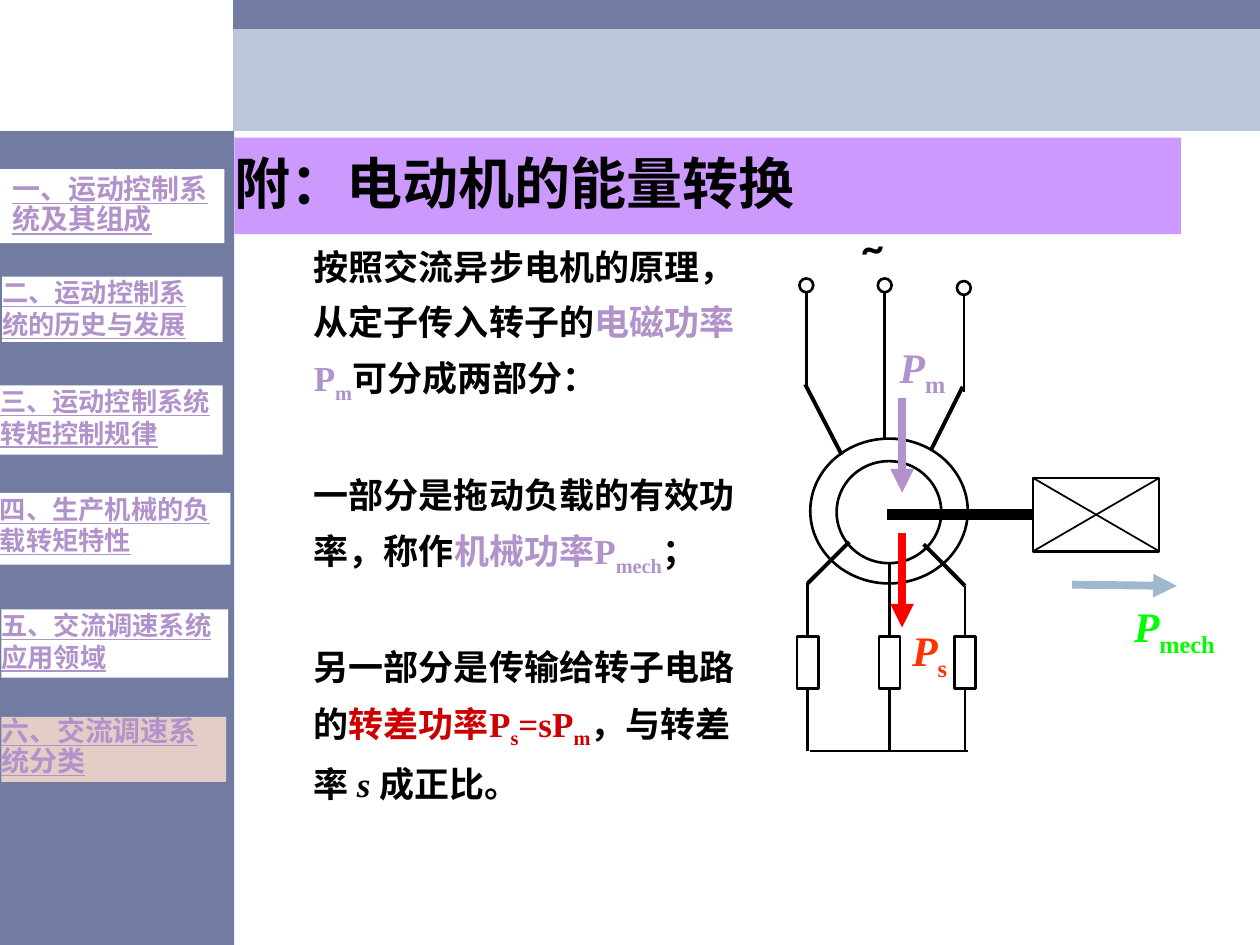
import pptx
import pptx.util
import pptx.dml.color
import pptx.enum.shapes
import pptx.enum.text
import pptx.oxml.ns
import lxml.etree

Pt = pptx.util.Pt
RGB = pptx.dml.color.RGBColor.from_string
SHAPE = pptx.enum.shapes.MSO_SHAPE
ANCHOR = pptx.enum.text.MSO_ANCHOR

COLORS = {
    "black": "000000", "white": "FFFFFF", "band": "BCC7DC", "slate": "727CA3",
    "title": "CC99FF", "violet": "B292CA", "crimson": "CC0000", "green": "00FF00",
    "orange": "FF3300", "red": "FF0000", "sky": "9FB8CD", "current": "E3CEC7",
}

deck = pptx.Presentation()
deck.slide_width, deck.slide_height = Pt(720), Pt(540)
slide = deck.slides.add_slide(deck.slide_layouts[6])
shapes = slide.shapes


def write(box, paragraphs, size=20, font="Times New Roman", color="black",
          underline=False, spacing=1.0, gap=0, insets=(0, 0, 7.2, 0),
          anchor=ANCHOR.TOP):
    """Fill a box with bold text; a run is (text, colour, style), style "sub" or "italic"."""
    frame = box.text_frame
    frame.word_wrap = True
    frame.vertical_anchor = anchor
    (frame.margin_left, frame.margin_top,
     frame.margin_right, frame.margin_bottom) = map(Pt, insets)
    for number, runs in enumerate(paragraphs):
        paragraph = frame.add_paragraph() if number else frame.paragraphs[0]
        paragraph.alignment = pptx.enum.text.PP_ALIGN.LEFT
        paragraph.line_spacing = spacing
        paragraph.space_before = Pt(gap if number else 0)
        for text, run_color, style in runs:
            run = paragraph.add_run()
            run.text = text
            run.font.size, run.font.name, run.font.bold = Pt(size), font, True
            run.font.underline = underline
            run.font.italic = style == "italic"
            run.font.color.rgb = RGB(COLORS[run_color or color])
            if style == "sub":
                run.font._element.set("baseline", "-25000")


def draw(kind, points, fill=None, line=None, width=1.5, arrow=False):
    """Draw a shape from left, top, width, height, or a line (kind None) from its ends."""
    if kind is None:
        item = shapes.add_connector(pptx.enum.shapes.MSO_CONNECTOR.STRAIGHT,
                                    *map(Pt, points))
        properties = item._element.spPr
    else:
        item = shapes.add_shape(kind, *map(Pt, points))
        item.shadow.inherit = False
        if fill:
            item.fill.solid()
            item.fill.fore_color.rgb = RGB(COLORS[fill])
        else:
            item.fill.background()
    if line:
        item.line.color.rgb = RGB(COLORS[line])
        item.line.width = Pt(width)
    else:
        item.line.fill.background()
    if arrow:
        lxml.etree.SubElement(item.line._get_or_add_ln(),
                              pptx.oxml.ns.qn("a:tailEnd"), type="triangle")
    if kind is None:
        lxml.etree.SubElement(properties, pptx.oxml.ns.qn("a:effectLst"))
    return item


# Page frame
draw(SHAPE.RECTANGLE, (133.2, 0, 586.8, 74.9), "band")
draw(SHAPE.RECTANGLE, (133.2, 0, 586.8, 16.5), "slate")
draw(SHAPE.RECTANGLE, (0, 74.9, 133.9, 465.1), "slate")

# Title
title = draw(SHAPE.RECTANGLE, (133.9, 78.6, 540.9, 55.2), "title")
write(title, [[("附：电动机的能量转换", None, None)]], size=32, spacing=0.9,
      anchor=ANCHOR.MIDDLE)

# Explanation
explanation = shapes.add_textbox(Pt(179.3), Pt(133.2), Pt(252.7), Pt(329.8))
write(explanation, [
    [("按照交流异步电机的原理，从定子传入转子的", None, None),
     ("电磁功率P", "violet", None), ("m", "violet", "sub"),
     ("可分成两部分：", None, None)],
    [("一部分是拖动负载的有效功率，称作", None, None),
     ("机械功率P", "violet", None), ("mech", "violet", "sub"),
     ("；", None, None)],
    [("另一部分是传输给转子电路的", None, None),
     ("转差功率P", "crimson", None), ("s", "crimson", "sub"),
     ("=sP", "crimson", None), ("m", "crimson", "sub"),
     ("，与转差率 ", None, None), ("s ", None, "italic"),
     ("成正比。", None, None)],
], spacing=1.3, gap=32)

# Three-phase supply: terminals and wires
for x, top, wire_end in ((460.8, 159.1, 222.5), (505.6, 159.1, 250.6),
                         (550.8, 160.6, 223.9)):
    draw(None, (x, wire_end, x, top + 7.9), line="black")
    draw(SHAPE.OVAL, (x - 4, top, 7.9, 7.9), line="black")

# Stator and rotor
draw(SHAPE.OVAL, (463, 250.6, 90, 82.8), line="black")
draw(SHAPE.OVAL, (478.1, 263.5, 59.8, 58.3), line="black")
for lead in ((460.1, 219.6, 481, 259.9), (550.1, 221, 532.1, 257),
             (527.8, 311, 551.5, 334.8), (461.5, 333.4, 485.3, 309.6)):
    draw(None, lead, line="black", width=2.25)

# Load on the shaft
left, top, right, bottom = 590.4, 273.2, 662.4, 315
load = draw(SHAPE.RECTANGLE, (left, top, right - left, bottom - top), line="black")
draw(None, (left, top, right, bottom), line="black", width=1)
draw(None, (left, bottom, right, top), line="black", width=1)
middle = (top + bottom) / 2
shaft = draw(None, (506.9, middle, left, middle), line="black", width=6)
shaft.end_connect(load, 1)

# Rotor resistors and their common bus
BUS_Y = 429.1
for x, wire_top in ((461.5, 333.4), (508.3, 321.1), (551.5, 334.8)):
    resistor = draw(SHAPE.RECTANGLE, (x - 6.1, 363.6, 12.2, 30), line="black")
    draw(None, (x, wire_top, x, 363.6), line="black").end_connect(resistor, 0)
    draw(None, (x, 393.6, x, BUS_Y), line="black").begin_connect(resistor, 2)
draw(None, (463, BUS_Y, 553, BUS_Y), line="black")

# Power flow arrows
for ends, color in (((515.5, 227.5, 515.5, 281.5), "violet"),
                    ((515.5, 304.6, 515.5, 358.6), "red"),
                    ((612.7, 334.1, 672.5, 334.8), "sky")):
    draw(None, ends, line=color, width=4.5, arrow=True)

# Diagram labels
for place, runs, color, font in (
    ((484.6, 123.1, 49, 36), [("~", None, None)], "black", "Lato"),
    ((640.8, 339.8, 74.9, 36), [("P", None, "italic"), ("mech", None, "sub")],
     "green", "Times New Roman"),
    ((506.9, 191.5, 54.7, 36), [("P", None, "italic"), ("m", None, "sub")],
     "violet", "Times New Roman"),
    ((514.1, 353.5, 44.6, 36), [("P", None, "italic"), ("s", None, "sub")],
     "orange", "Times New Roman"),
):
    label = shapes.add_textbox(*map(Pt, place))
    write(label, [runs], size=24, font=font, color=color,
          insets=(7.2, 3.6, 7.2, 3.6))

# Chapter menu
for text, place, fill, size, font, spacing, insets in (
    ("一、运动控制系统及其组成", (0, 96.7, 128.2, 42.3), "white", 16,
     "Noto Sans Mono", 0.9, (7.2, 3.6, 7.2, 3.6)),
    ("二、运动控制系统的历史与发展", (1.2, 158, 126, 37.4), "white", 15,
     "Arial", 1.0, (0, 0, 7.2, 0)),
    ("三、运动控制系统转矩控制规律", (0, 220.2, 127.2, 39.6), "white", 15,
     "Arial", 1.0, (0, 0, 7.2, 0)),
    ("四、生产机械的负载转矩特性", (0, 281.7, 131.7, 40.9), "white", 15,
     "Arial", 1.0, (0, 0, 7.2, 0)),
    ("五、交流调速系统应用领域", (0.8, 348.2, 129.6, 39), "white", 15,
     "Arial", 1.0, (0, 0, 7.2, 0)),
    ("六、交流调速系统分类", (0.8, 409.7, 128.4, 37.2), "current", 16,
     "Arial", 0.9, (0, 0, 7.2, 0)),
):
    chapter = draw(SHAPE.RECTANGLE, place, fill)
    write(chapter, [[(text, None, None)]], size=size, font=font, color="violet",
          underline=True, spacing=spacing, insets=insets)

deck.save("out.pptx")
